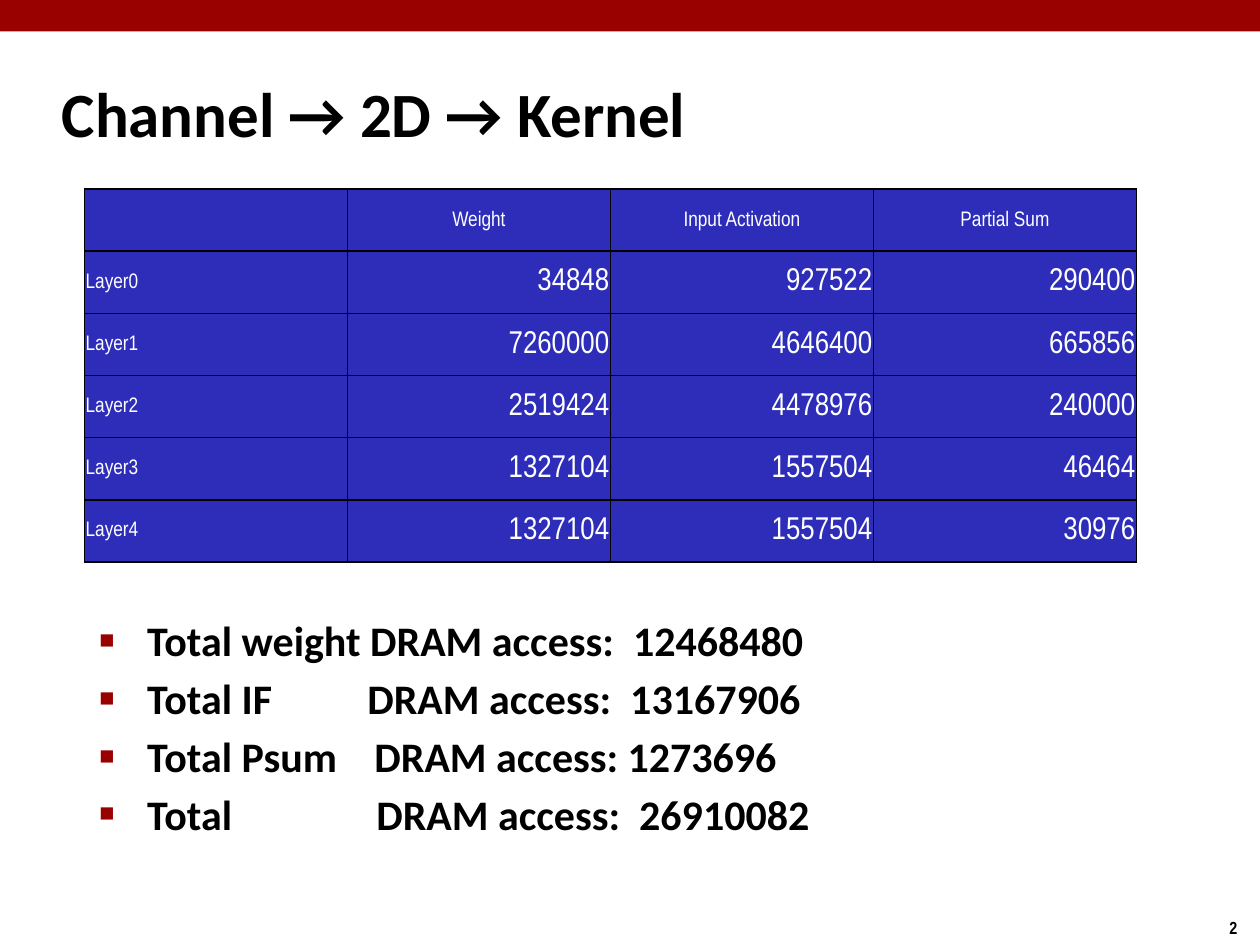
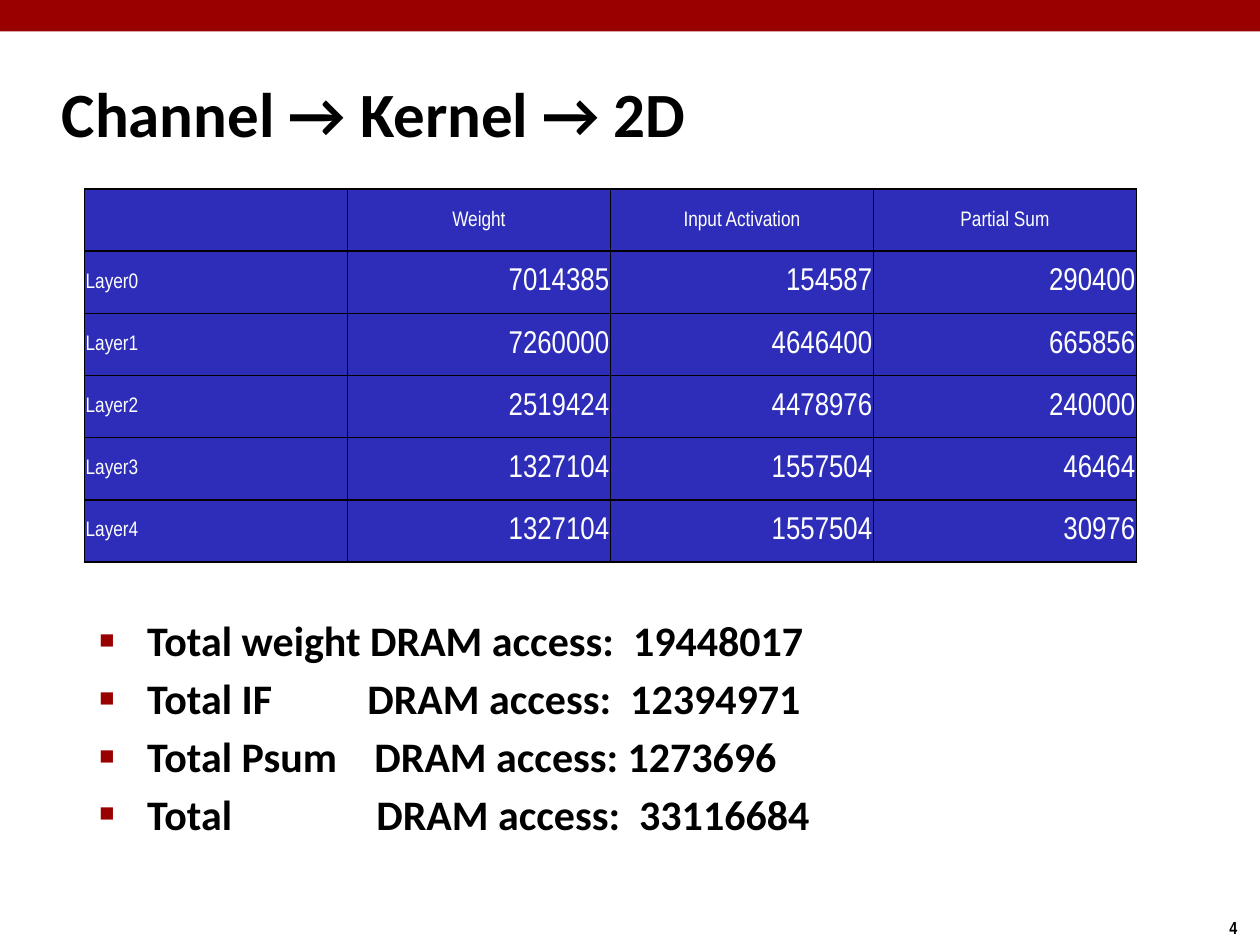
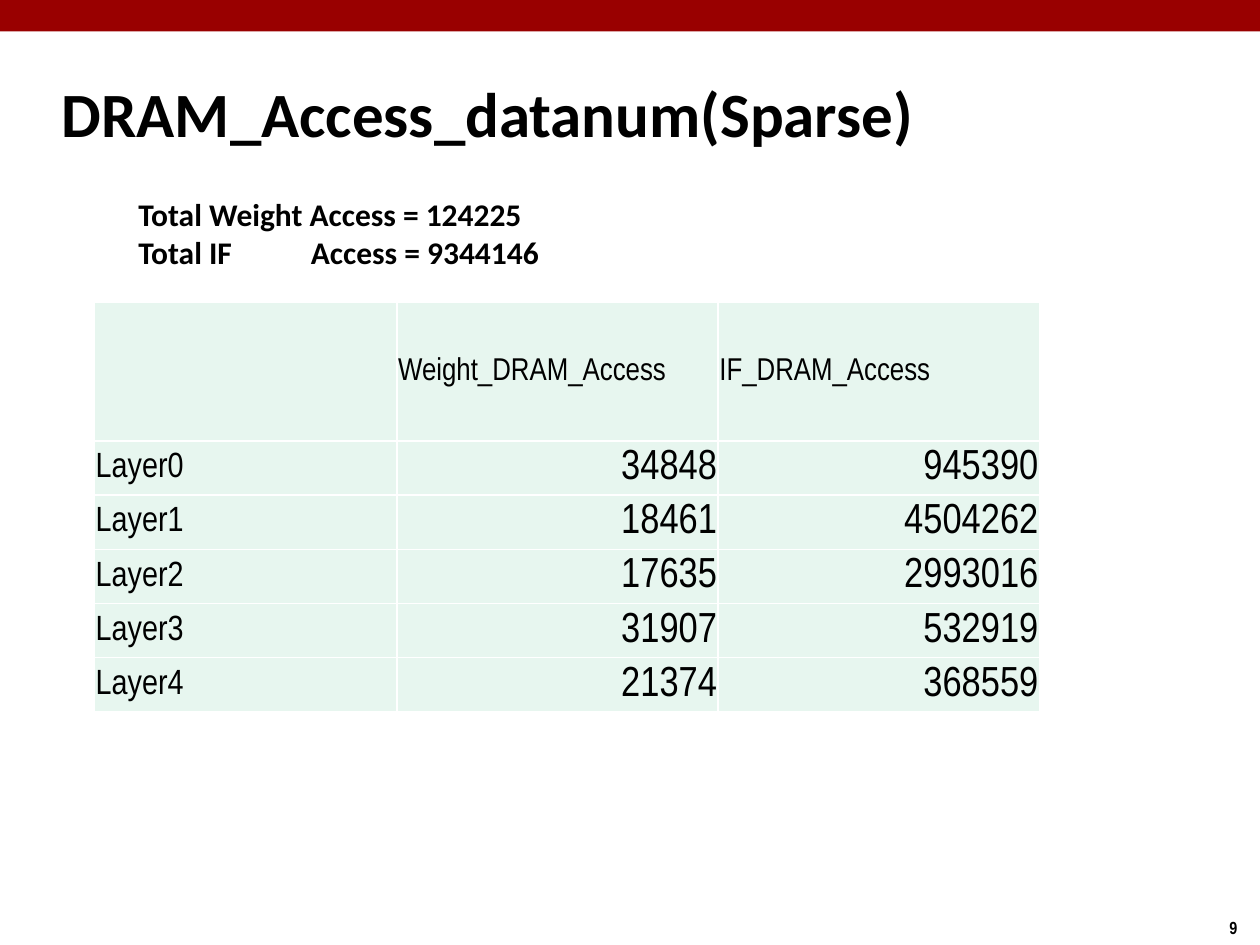
import pptx
import pptx.util
import pptx.dml.color
import pptx.enum.shapes
import pptx.enum.text
import pptx.oxml
import pptx.oxml.ns
from lxml import etree

Inches = pptx.util.Inches
Pt = pptx.util.Pt
ALIGN = pptx.enum.text.PP_ALIGN
MIDDLE = pptx.enum.text.MSO_ANCHOR.MIDDLE

RED, BLACK, WHITE = "990000", "000000", "FFFFFF"
BLUE, MINT = "2D2DB9", "E7F6EF"
HEAD_FONT, DATA_FONT = "Calibri", "Arial Narrow"

LAYERS = [f"Layer{i}" for i in range(5)]
ORDER_HEADERS = ["", "Weight", "Input Activation", "Partial Sum"]
SHARED_ROWS = [
    ["7260000", "4646400", "665856"],
    ["2519424", "4478976", "240000"],
    ["1327104", "1557504", "46464"],
    ["1327104", "1557504", "30976"],
]
ORDER_SLIDES = [
    ("Channel → 2D → Kernel", 2, ["34848", "927522", "290400"],
     ["12468480", "13167906", "1273696", "26910082"]),
    ("Channel → Kernel → 2D", 4, ["7014385", "154587", "290400"],
     ["19448017", "12394971", "1273696", "33116684"]),
]
TOTAL_LABELS = [("Total weight", 0, 5.4), ("Total IF", 49, 5.4),
                ("Total Psum", 16, 0), ("Total", 77, 5.4)]
SPARSE_HEADERS = ["", "Weight_DRAM_Access", "IF_DRAM_Access"]
SPARSE_ROWS = [["34848", "945390"], ["18461", "4504262"], ["17635", "2993016"],
               ["31907", "532919"], ["21374", "368559"]]


def rgb(color):
    return pptx.dml.color.RGBColor.from_string(color)


def set_font(p, name, size, color=BLACK, bold=True):
    p.font.name = name
    p.font.size = Pt(size)
    p.font.bold = bold
    p.font.color.rgb = rgb(color)


def add_text_box(s, left, top, width, height):
    tf = s.shapes.add_textbox(Inches(left), Inches(top), Inches(width), Inches(height)).text_frame
    tf.word_wrap = True
    return tf


def add_spaced_line(p, pieces):
    for text, gap in pieces:
        p.add_run().text = text
        if gap is not None:
            r = p.add_run()
            r.text = " "
            r.font._element.set("spc", str(round(gap * 100)))


def add_bullet(p):
    pPr = p._p.get_or_add_pPr()
    pPr.set("marL", str(Inches(0.38)))
    pPr.set("indent", str(-Inches(0.38)))
    defaults = pPr.find(pptx.oxml.ns.qn("a:defRPr"))
    ns = pptx.oxml.ns.nsdecls("a")
    for xml in (f'<a:buClr {ns}><a:srgbClr val="{RED}"/></a:buClr>',
                f'<a:buSzPct {ns} val="60000"/>',
                f'<a:buFont {ns} typeface="Arial"/>',
                f'<a:buChar {ns} char="■"/>'):
        defaults.addprevious(pptx.oxml.parse_xml(xml))


def add_base_slide(prs, title, number):
    s = prs.slides.add_slide(prs.slide_layouts[5])
    band = s.shapes.add_shape(pptx.enum.shapes.MSO_SHAPE.RECTANGLE, 0, 0,
                              prs.slide_width, Inches(0.25))
    band.shadow.inherit = False
    band.fill.solid()
    band.fill.fore_color.rgb = rgb(RED)
    band.line.fill.background()

    sp = s.shapes.title
    sp.left, sp.top, sp.width, sp.height = map(Inches, (0.39, 0.48, 8.3, 0.83))
    tf = sp.text_frame
    tf.text = title
    tf.vertical_anchor = MIDDLE
    p = tf.paragraphs[0]
    p.alignment = ALIGN.LEFT
    set_font(p, HEAD_FONT, 36)

    tf = add_text_box(s, 9.66, 7.23, 0.34, 0.27)
    tf.word_wrap = False
    tf.auto_size = pptx.enum.text.MSO_AUTO_SIZE.SHAPE_TO_FIT_TEXT
    tf.text = str(number)
    set_font(tf.paragraphs[0], DATA_FONT, 10)
    return s


def set_borders(cell, color):
    tcPr = cell._tc.get_or_add_tcPr()
    for side in ("a:lnL", "a:lnR", "a:lnT", "a:lnB"):
        line = etree.SubElement(tcPr, pptx.oxml.ns.qn(side), w=str(Pt(1)))
        fill = etree.SubElement(line, pptx.oxml.ns.qn("a:solidFill"))
        etree.SubElement(fill, pptx.oxml.ns.qn("a:srgbClr"), val=color)


def add_data_table(s, left, top, widths, heights, headers, rows, sizes,
                   fill, text_color, border, header_align):
    data = [headers] + [[layer] + row for layer, row in zip(LAYERS, rows)]
    header_size, label_size, value_size = sizes
    table = s.shapes.add_table(len(data), len(headers), Inches(left), Inches(top),
                               Inches(sum(widths)), Inches(sum(heights))).table
    table.first_row = table.horz_banding = False
    for column, width in zip(table.columns, widths):
        column.width = Inches(width)
    for row, height in zip(table.rows, heights):
        row.height = Inches(height)
    for i, values in enumerate(data):
        for j, value in enumerate(values):
            cell = table.cell(i, j)
            set_borders(cell, border)
            cell.fill.solid()
            cell.fill.fore_color.rgb = rgb(fill)
            cell.vertical_anchor = MIDDLE
            cell.margin_left = cell.margin_right = cell.margin_top = Inches(0.01)
            cell.margin_bottom = 0
            cell.text = value
            p = cell.text_frame.paragraphs[0]
            if i == 0:
                size, p.alignment = header_size, header_align
            elif j == 0:
                size, p.alignment = label_size, ALIGN.LEFT
            else:
                size, p.alignment = value_size, ALIGN.RIGHT
            set_font(p, DATA_FONT, size, text_color, bold=False)


def add_totals(s, totals):
    tf = add_text_box(s, 0.69, 4.83, 6.15, 2.01)
    for i, ((label, label_gap, value_gap), total) in enumerate(zip(TOTAL_LABELS, totals)):
        p = tf.paragraphs[0] if i == 0 else tf.add_paragraph()
        p.space_before = Pt(4.2)
        set_font(p, HEAD_FONT, 24)
        add_bullet(p)
        add_spaced_line(p, [(label, label_gap), ("DRAM access:", value_gap), (total, None)])


def add_order_slide(prs, title, number, first_row, totals):
    s = add_base_slide(prs, title, number)
    add_data_table(s, 0.67, 1.5, [8.35 / 4] * 4, [2.96 / 6] * 6, ORDER_HEADERS,
                   [first_row] + SHARED_ROWS, (12, 12, 18), BLUE, WHITE, BLACK, ALIGN.CENTER)
    add_totals(s, totals)


def add_sparse_slide(prs):
    s = add_base_slide(prs, "DRAM_Access_datanum(Sparse)", 9)
    add_data_table(s, 0.75, 2.4, [2.4, 2.55, 2.55], [1.1] + [0.43] * 5, SPARSE_HEADERS,
                   SPARSE_ROWS, (18, 20, 24), MINT, BLACK, WHITE, ALIGN.LEFT)
    tf = add_text_box(s, 1, 1.5, 6.67, 0.71)
    lines = [("Total Weight", 0, "Access = 124225"), ("Total IF", 41, "Access = 9344146")]
    for i, (label, gap, access) in enumerate(lines):
        p = tf.paragraphs[0] if i == 0 else tf.add_paragraph()
        set_font(p, HEAD_FONT, 18)
        add_spaced_line(p, [(label, gap), (access, None)])


def main():
    prs = pptx.Presentation()
    prs.slide_width, prs.slide_height = Inches(10), Inches(7.5)
    for title, number, first_row, totals in ORDER_SLIDES:
        add_order_slide(prs, title, number, first_row, totals)
    add_sparse_slide(prs)
    prs.save("out.pptx")


if __name__ == "__main__":
    main()
